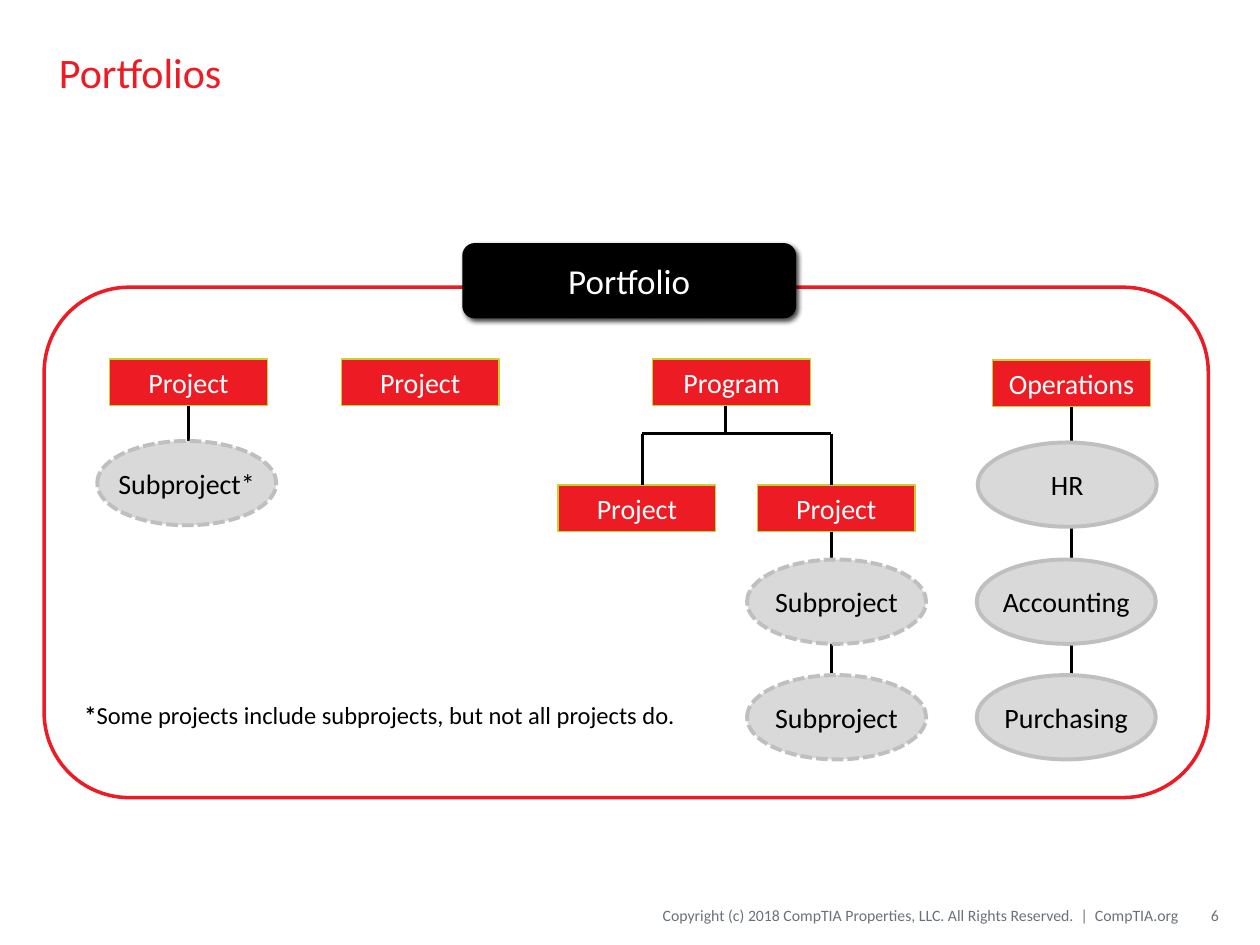
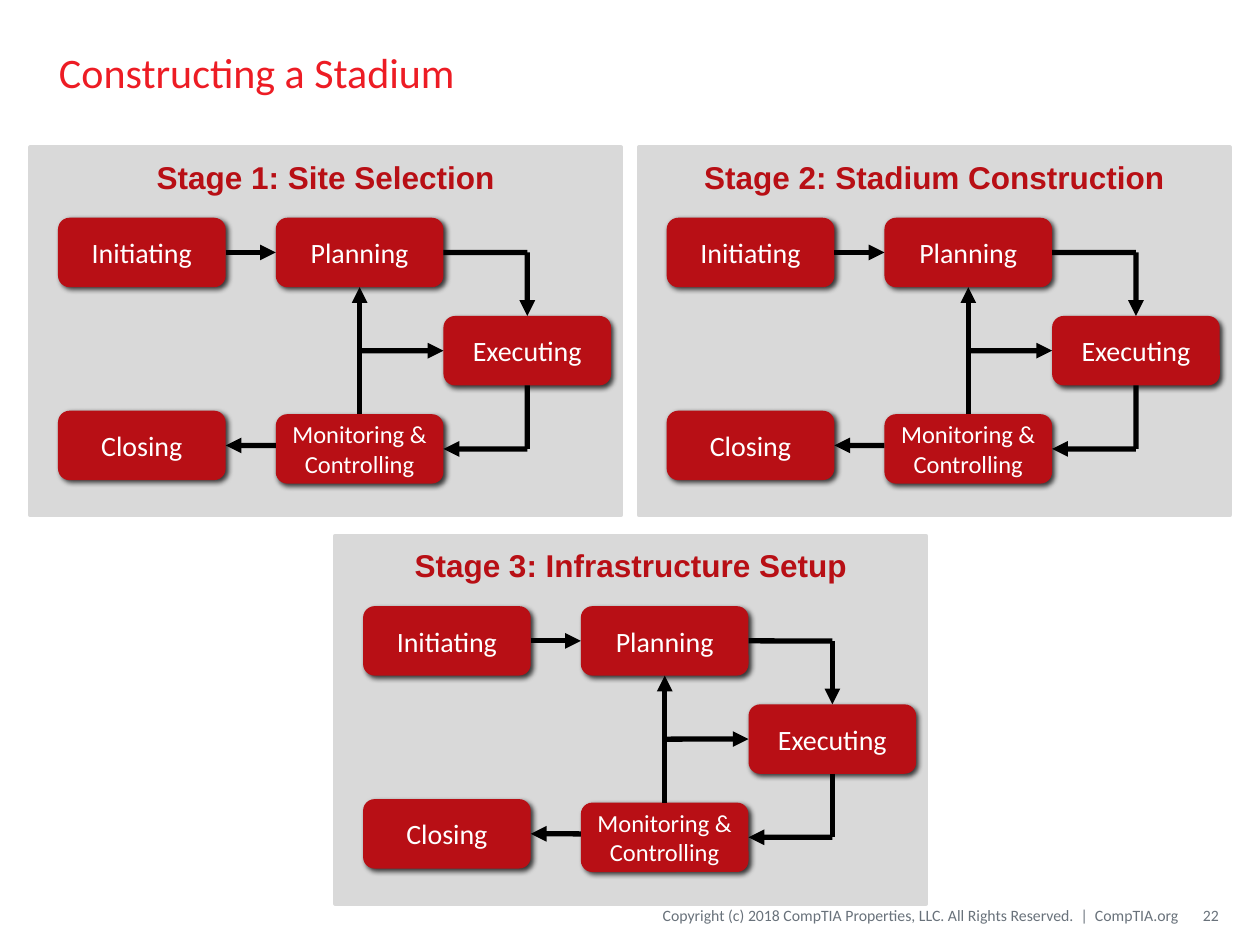
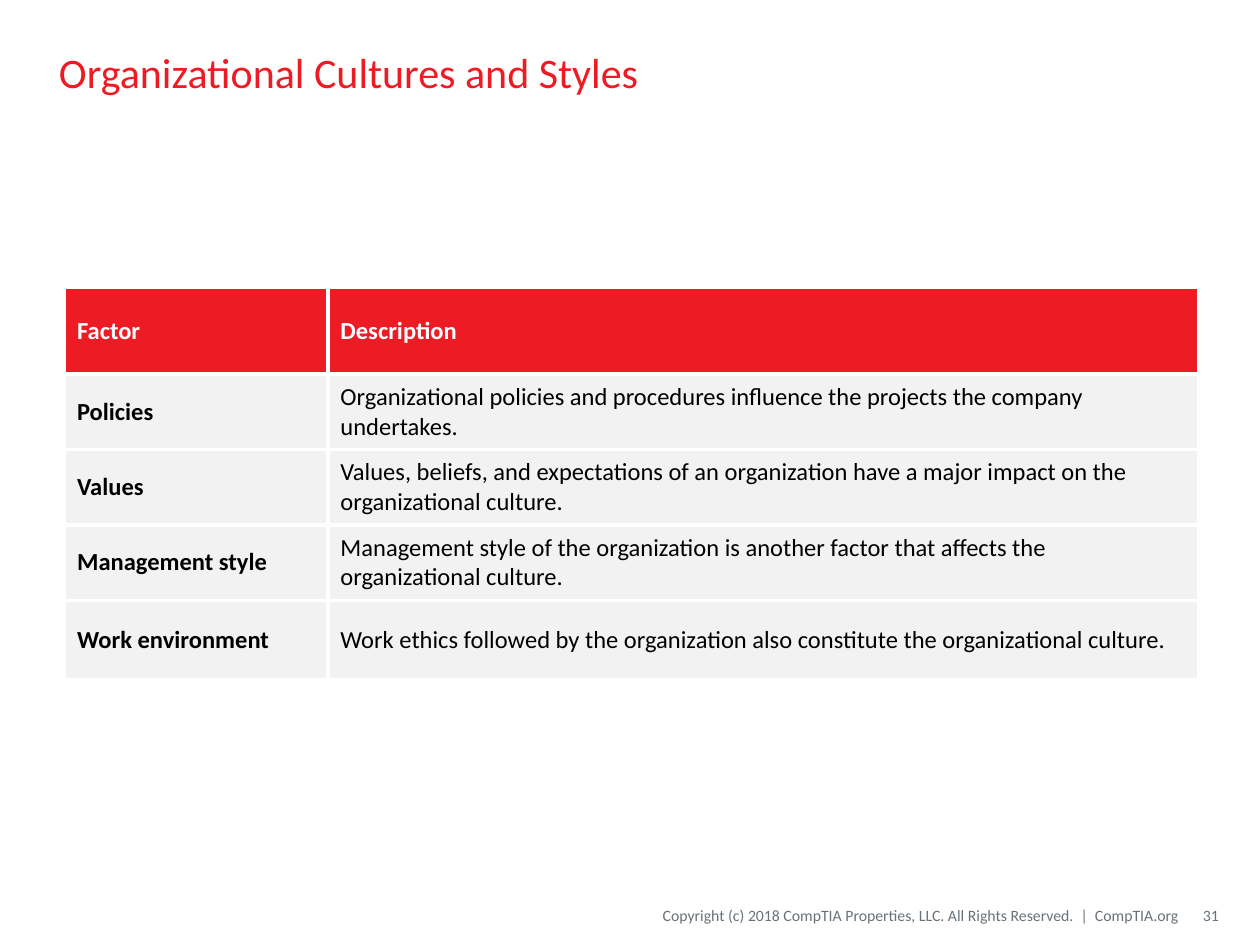
import pptx
import pptx.util
import pptx.dml.color
import pptx.enum.dml
import pptx.enum.shapes
import pptx.enum.text
import pptx.oxml
import pptx.oxml.ns
from lxml import etree

Cm = pptx.util.Cm
Pt = pptx.util.Pt
rgb = pptx.dml.color.RGBColor.from_string
qn = pptx.oxml.ns.qn
MSO = pptx.enum.shapes.MSO_SHAPE
ALIGN = pptx.enum.text.PP_ALIGN
MIDDLE = pptx.enum.text.MSO_ANCHOR.MIDDLE

RED, DARK_RED, LIME = "ED1C24", "B80F15", "C1D32F"
BLACK, WHITE, FOOTER_GREY = "000000", "FFFFFF", "69727B"
PANEL_GREY, EDGE_GREY, ROW_GREY = "D9D9D9", "BFBFBF", "F2F2F2"
TOP, LEFT, BOTTOM, RIGHT = range(4)


def add_box(s, kind, x, y, w, h, text="", size=16, color=WHITE, fill=None, line=None,
            width=0.75, dashed=False, shadow=False, align=ALIGN.CENTER, font="Calibri",
            bold=False, insets=(0.25, 0.13, 0.25, 0.13)):
    """Add a preset shape, or a text box when kind is None; lengths are in cm."""
    place = Cm(x), Cm(y), Cm(w), Cm(h)
    if kind is None:
        sp = s.shapes.add_textbox(*place)
    else:
        sp = s.shapes.add_shape(kind, *place)
        sp.shadow.inherit = False
        sp.fill.solid()
        sp.fill.fore_color.rgb = rgb(fill)
        if line:
            sp.line.color.rgb = rgb(line)
            sp.line.width = Pt(width)
        else:
            sp.line.fill.background()
        if dashed:
            sp.line.dash_style = pptx.enum.dml.MSO_LINE.SQUARE_DOT
    if shadow:
        effects = sp._element.spPr.find(qn("a:effectLst"))
        outer = etree.SubElement(effects, qn("a:outerShdw"), blurRad=str(Pt(3)),
                                 dist=str(Pt(2)), dir="2700000", rotWithShape="0")
        clr = etree.SubElement(outer, qn("a:srgbClr"), val=BLACK)
        etree.SubElement(clr, qn("a:alpha"), val="75000")
    if text:
        tf = sp.text_frame
        tf.word_wrap = kind != MSO.OVAL
        tf.vertical_anchor = MIDDLE
        tf.margin_left, tf.margin_top, tf.margin_right, tf.margin_bottom = map(Cm, insets)
        p = tf.paragraphs[0]
        p.alignment = align
        r = p.add_run()
        r.text = text
        r.font.name, r.font.size, r.font.bold = font, Pt(size), bold
        r.font.color.rgb = rgb(color)
    return sp


def add_line(s, start, end, width, arrow=False):
    """Each end is a point (x, y) in cm, or (shape, side) to join it."""
    c = s.shapes.add_connector(pptx.enum.shapes.MSO_CONNECTOR.STRAIGHT, 0, 0, 0, 0)
    if hasattr(start[0], "shape_id"):
        c.begin_connect(*start)
    else:
        c.begin_x, c.begin_y = map(Cm, start)
    if hasattr(end[0], "shape_id"):
        c.end_connect(*end)
    else:
        c.end_x, c.end_y = map(Cm, end)
    c.line.color.rgb = rgb(BLACK)
    c.line.width = Pt(width)
    if arrow:
        etree.SubElement(c.line._get_or_add_ln(), qn("a:tailEnd"), type="triangle")
    etree.SubElement(c._element.spPr, qn("a:effectLst"))


prs = pptx.Presentation()
prs.slide_width, prs.slide_height = Cm(25.4), Cm(19.05)

# Titles and footers
slides = []
for title, number in [("Portfolios", "6"), ("Constructing a Stadium", "22"),
                      ("Organizational Cultures and Styles", "31")]:
    s = prs.slides.add_slide(prs.slide_layouts[6])
    add_box(s, None, 0.94, 0.28, 23.5, 2.34, title, 24, RED, align=ALIGN.LEFT)
    add_box(s, None, 9.86, 18.08, 13.89, 0.76,
            "Copyright (c) 2018 CompTIA Properties, LLC. All Rights Reserved.  |  CompTIA.org",
            9, FOOTER_GREY, align=ALIGN.RIGHT, insets=(0, 0.13, 0, 0.13))
    add_box(s, None, 23.83, 18.08, 0.74, 0.76, number, 9, FOOTER_GREY,
            align=ALIGN.RIGHT, insets=(0.25, 0.13, 0, 0.13))
    slides.append(s)

# Slide 1: portfolio frame and heading
s = slides[0]
add_box(s, MSO.ROUNDED_RECTANGLE, 0.89, 5.79, 23.47, 10.29, fill=WHITE, line=RED, width=2)
add_box(s, MSO.ROUNDED_RECTANGLE, 9.32, 4.9, 6.73, 1.52, "Portfolio", 20, fill=BLACK,
        shadow=True)

# Red boxes
boxes = [add_box(s, MSO.RECTANGLE, x, y, 3.18, 0.94, text, fill=RED, line=LIME)
         for text, x, y in [("Project", 2.21, 7.24), ("Project", 6.88, 7.24),
                            ("Program", 13.16, 7.24), ("Operations", 20.01, 7.26),
                            ("Project", 11.25, 9.78), ("Project", 15.27, 9.78)]]

# Tree lines, which run behind the ellipses
for start, end in [((boxes[0], BOTTOM), (3.8, 9.1)),
                   ((boxes[3], BOTTOM), (21.6, 13.84)),
                   ((14.63, 8.18), (14.63, 8.74)),
                   ((12.95, 8.74), (16.76, 8.74)),
                   ((12.95, 8.74), (12.95, 9.78)),
                   ((16.76, 8.74), (16.76, 9.78)),
                   ((16.76, 10.72), (16.76, 14.45))]:
    add_line(s, start, end, 1.5)

# Ellipses; subprojects are dashed
for text, x, y in [("Subproject*", 1.96, 8.89), ("Subproject", 15.06, 11.28),
                   ("Subproject", 15.06, 13.61), ("HR", 19.71, 8.92),
                   ("Accounting", 19.69, 11.28), ("Purchasing", 19.69, 13.61)]:
    add_box(s, MSO.OVAL, x, y, 3.61, 1.7, text, color=BLACK, fill=PANEL_GREY,
            line=EDGE_GREY, width=2.25, dashed=text.startswith("Subproject"))

# Footnote
note = add_box(s, None, 1.45, 13.97, 12.78, 0.86, "*", 14, BLACK, align=ALIGN.LEFT, bold=True)
r = note.text_frame.paragraphs[0].add_run()
r.text = "Some projects include subprojects, but not all projects do."
r.font.name, r.font.size = "Calibri", Pt(14)
r.font.color.rgb = rgb(BLACK)

# Slide 2: the same process in three stage panels
s = slides[1]
steps = [("Initiating", 0.56, 1.42, 16), ("Planning", 4.95, 1.42, 16),
         ("Executing", 8.33, 3.4, 16), ("Monitoring & Controlling", 4.95, 5.38, 14),
         ("Closing", 0.56, 5.31, 16)]
for heading, px, py in [("Stage 1: Site Selection", 0.61, 2.97),
                        ("Stage 2: Stadium Construction", 12.88, 2.97),
                        ("Stage 3: Infrastructure Setup", 6.76, 10.8)]:
    add_box(s, MSO.RECTANGLE, px, py, 11.91, 7.42, fill=PANEL_GREY, line=PANEL_GREY, width=2.25)
    add_box(s, None, px, py + 0.08, 11.91, 1.02, heading, 18, DARK_RED, font="Arial", bold=True)
    initiating, planning, executing, monitoring, closing = [
        add_box(s, MSO.ROUNDED_RECTANGLE, px + x, py + y, 3.38, 1.4, text, size,
                fill=DARK_RED, shadow=True) for text, x, y, size in steps]
    upper_corner = (px + 10.02, py + 2.12)
    lower_corner = (px + 10.02, py + 6.08)
    for start, end, arrow in [
            ((initiating, RIGHT), (planning, LEFT), True),
            ((planning, RIGHT), upper_corner, False),
            (upper_corner, (executing, TOP), True),
            ((executing, BOTTOM), lower_corner, False),
            (lower_corner, (monitoring, RIGHT), True),
            ((monitoring, TOP), (planning, BOTTOM), True),
            ((px + 6.64, py + 4.1), (executing, LEFT), True),
            ((px + 4.95, py + 6.01), (closing, RIGHT), True)]:
        add_line(s, start, end, 3, arrow)

# Slide 3: table of factors
s = slides[2]
rows = [
    ("Factor", "Description"),
    ("Policies", "Organizational policies and procedures influence the projects the company "
                 "undertakes."),
    ("Values", "Values, beliefs, and expectations of an organization have a major impact on the "
               "organizational culture."),
    ("Management style", "Management style of the organization is another factor that affects "
                         "the organizational culture."),
    ("Work environment", "Work ethics followed by the organization also constitute the "
                         "organizational culture."),
]
tbl = s.shapes.add_table(len(rows), 2, Cm(1.3), Cm(5.79), Cm(22.86), Cm(7.91)).table
tbl.horz_banding = False
for col, w in zip(tbl.columns, (5.31, 17.55)):
    col.width = Cm(w)
for row, h in zip(tbl.rows, (1.75, 1.52, 1.52, 1.52, 1.6)):
    row.height = Cm(h)
for i, texts in enumerate(rows):
    for j, text in enumerate(texts):
        cell = tbl.cell(i, j)
        cell.vertical_anchor = MIDDLE
        # White borders go before the fill in the cell properties
        tcPr = cell._tc.get_or_add_tcPr()
        for side in ("a:lnL", "a:lnR", "a:lnT", "a:lnB"):
            ln = etree.SubElement(tcPr, qn(side), w=str(Pt(2.25)))
            etree.SubElement(etree.SubElement(ln, qn("a:solidFill")), qn("a:srgbClr"), val=WHITE)
        cell.fill.solid()
        cell.fill.fore_color.rgb = rgb(ROW_GREY if i else RED)
        r = cell.text_frame.paragraphs[0].add_run()
        r.text = text
        r.font.name, r.font.size = "Calibri", Pt(14)
        r.font.bold = i == 0 or j == 0
        r.font.color.rgb = rgb(BLACK if i else WHITE)

prs.save("out.pptx")
